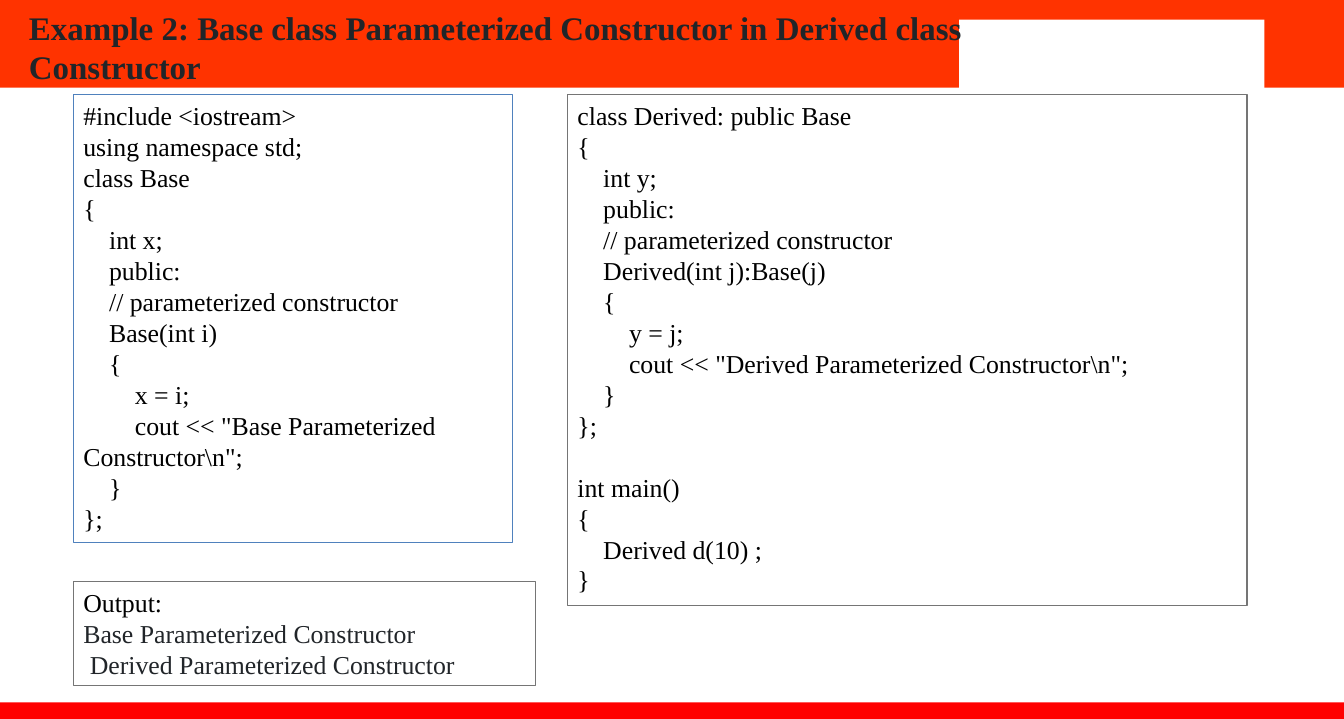
from dataclasses import dataclass

from pptx import Presentation
from pptx.dml.color import RGBColor
from pptx.enum.shapes import MSO_SHAPE
from pptx.enum.text import MSO_ANCHOR, MSO_AUTO_SIZE, PP_ALIGN
from pptx.util import Inches, Pt

# Content: each code line is (indent level, text)
TITLE = "Example 2: Base class Parameterized Constructor in Derived class Constructor"
BASE_CODE = [
    (0, "#include <iostream>"),
    (0, "using namespace std;"),
    (0, "class Base"),
    (0, "{"),
    (1, "int x;"),
    (1, "public:"),
    (1, "// parameterized constructor"),
    (1, "Base(int i)"),
    (1, "{"),
    (2, "x = i;"),
    (2, r'cout << "Base Parameterized Constructor\n";'),
    (1, "}"),
    (0, "};"),
]
DERIVED_CODE = [
    (0, "class Derived: public Base"),
    (0, "{"),
    (1, "int y;"),
    (1, "public:"),
    (1, "// parameterized constructor"),
    (1, "Derived(int j):Base(j)"),
    (1, "{"),
    (2, "y = j;"),
    (2, r'cout << "Derived Parameterized Constructor\n";'),
    (1, "}"),
    (0, "};"),
]
MAIN_CODE = [
    (0, "int main()"),
    (0, "{"),
    (1, "Derived d(10) ;"),
    (0, "}"),
]
OUTPUT_LABEL = [(0, "Output:")]
OUTPUT_LINES = [
    (0, "Base Parameterized Constructor"),
    (0, " Derived Parameterized Constructor"),
]


@dataclass(frozen=True)
class Theme:
    font: str = "Times New Roman"
    title_size: int = 23
    code_size: int = 18
    leading: float = 1.2
    indent: float = 0.25
    header: str = "FF3300"
    footer: str = "FF0000"
    paper: str = "FFFFFF"
    ink: str = "000000"
    soft_ink: str = "212529"
    blue_border: str = "4F81BD"
    grey_border: str = "757575"


THEME = Theme()

# Layout, in inches
WIDTH, HEIGHT = 13.03, 6.97
HEADER_HEIGHT = 0.85
FOOTER_TOP = 6.81
LEFT_COLUMN, RIGHT_COLUMN = 0.71, 5.5
CODE_TOP, OUTPUT_TOP = 0.92, 5.64

BANDS = [
    ((0, 0, WIDTH, HEADER_HEIGHT), THEME.header),
    ((0, FOOTER_TOP, WIDTH, HEIGHT - FOOTER_TOP), THEME.footer),
    ((9.3, 0.19, 2.96, 0.7), THEME.paper),
]
# Panel: box, border, blocks of (lines, colour, blank line above)
PANELS = [
    ((LEFT_COLUMN, CODE_TOP, 4.26, 4.34), THEME.blue_border,
     [(BASE_CODE, THEME.ink, False)]),
    ((RIGHT_COLUMN, CODE_TOP, 6.59, 4.95), THEME.grey_border,
     [(DERIVED_CODE, THEME.ink, False), (MAIN_CODE, THEME.ink, True)]),
    ((LEFT_COLUMN, OUTPUT_TOP, 4.48, 1.01), THEME.grey_border,
     [(OUTPUT_LABEL, THEME.ink, False), (OUTPUT_LINES, THEME.soft_ink, False)]),
]


def write(paragraph, text, size, color, bold=False):
    paragraph.alignment = PP_ALIGN.LEFT
    paragraph.line_spacing = Pt(size * THEME.leading)
    run = paragraph.add_run()
    run.text = text
    run.font.name = THEME.font
    run.font.size = Pt(size)
    run.font.bold = bold
    run.font.color.rgb = RGBColor.from_string(color)


def add_rectangle(slide, box):
    rectangle = slide.shapes.add_shape(MSO_SHAPE.RECTANGLE, *map(Inches, box))
    rectangle.shadow.inherit = False
    return rectangle


def add_band(slide, box, color):
    band = add_rectangle(slide, box)
    band.fill.solid()
    band.fill.fore_color.rgb = RGBColor.from_string(color)
    band.line.fill.background()


def add_title(slide):
    title = slide.shapes.title
    title.left, title.top, title.width, title.height = map(Inches, (0.28, 0.01, 9.07, 1.16))
    frame = title.text_frame
    frame.word_wrap = True
    frame.auto_size = MSO_AUTO_SIZE.NONE
    frame.vertical_anchor = MSO_ANCHOR.TOP
    frame.margin_left = frame.margin_right = frame.margin_bottom = 0
    frame.margin_top = Inches(0.06)
    write(frame.paragraphs[0], TITLE, THEME.title_size, THEME.soft_ink, bold=True)
    # Bring the title in front of the header band
    slide.shapes._spTree.append(title._element)


def add_panel(slide, box, border, blocks):
    panel = add_rectangle(slide, box)
    panel.fill.background()
    panel.line.color.rgb = RGBColor.from_string(border)
    panel.line.width = Pt(0.75)
    frame = panel.text_frame
    frame.word_wrap = True
    frame.vertical_anchor = MSO_ANCHOR.TOP
    frame.margin_left = frame.margin_right = Inches(0.1)
    frame.margin_top = frame.margin_bottom = Inches(0.05)
    paragraph = frame.paragraphs[0]
    for lines, color, gap_above in blocks:
        for number, (level, text) in enumerate(lines):
            if paragraph.runs:
                paragraph = frame.add_paragraph()
            write(paragraph, text, THEME.code_size, color)
            # First-line indent only: wrapped code returns to the margin
            properties = paragraph._p.get_or_add_pPr()
            properties.set("marL", "0")
            properties.set("indent", str(Inches(level * THEME.indent)))
            if gap_above and number == 0:
                paragraph.space_before = Pt(THEME.code_size * THEME.leading)


def main():
    deck = Presentation()
    deck.slide_width, deck.slide_height = Inches(WIDTH), Inches(HEIGHT)
    slide = deck.slides.add_slide(deck.slide_layouts[5])
    for box, color in BANDS:
        add_band(slide, box, color)
    add_title(slide)
    for box, border, blocks in PANELS:
        add_panel(slide, box, border, blocks)
    deck.save("out.pptx")


if __name__ == "__main__":
    main()
